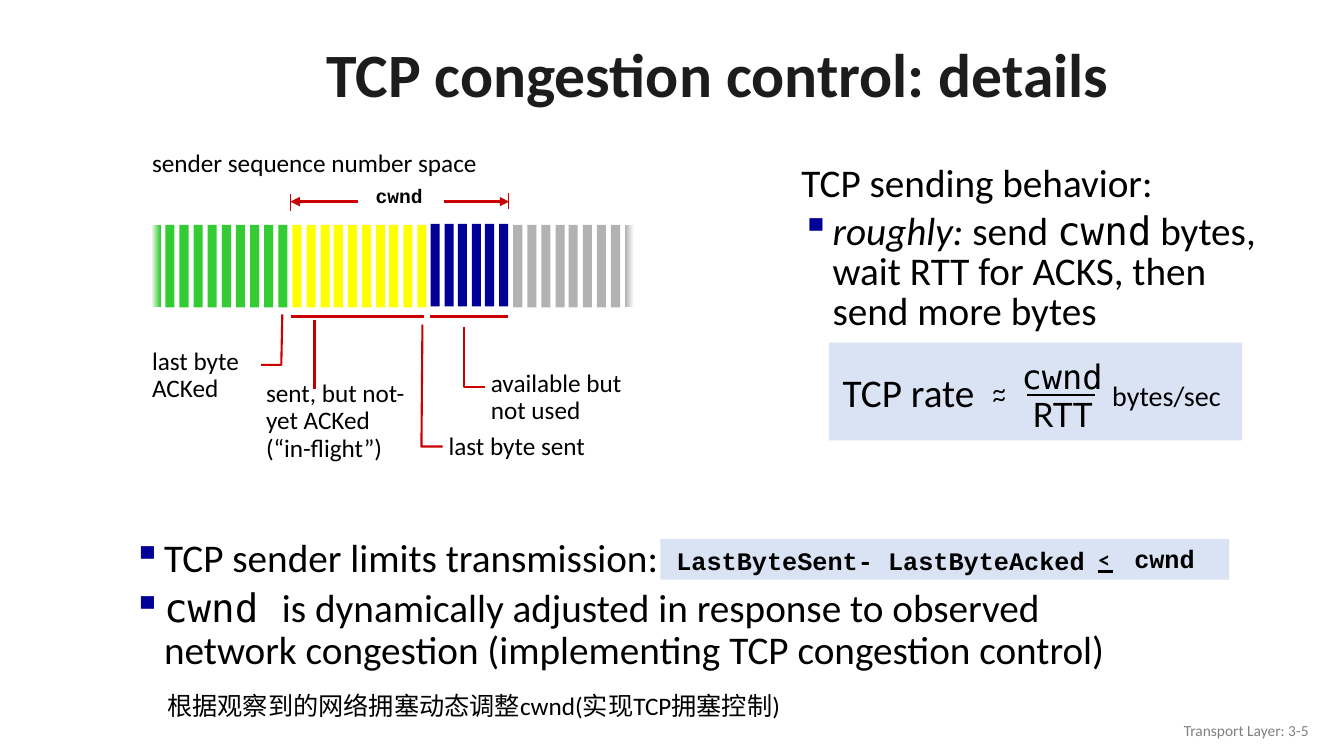
from dataclasses import dataclass
from typing import Any, NamedTuple

from lxml import etree
from pptx import Presentation
from pptx import util as u
from pptx.dml import color
from pptx.enum import shapes, text
from pptx.oxml import ns

PX = 9144  # EMU per px, 100 px to the inch
LEFT, CENTER, RIGHT = text.PP_ALIGN.LEFT, text.PP_ALIGN.CENTER, text.PP_ALIGN.RIGHT
TOP, MIDDLE = text.MSO_ANCHOR.TOP, text.MSO_ANCHOR.MIDDLE


@dataclass(frozen=True)
class Theme:
    black: str = "000000"
    title: str = "1C1C1C"
    footer: str = "808080"
    white: str = "FFFFFF"
    panel: str = "DAE3F3"
    red: str = "CC0000"
    dark_red: str = "C00000"
    green: str = "33CC33"
    yellow: str = "FFFF00"
    navy: str = "000099"
    gray: str = "B2B2B2"
    sans: str = "Calibri"
    code: str = "Courier New"
    mono: str = "DejaVu Sans Mono"
    symbol: str = "Lato"
    heading: int = 44
    body: int = 28
    fraction: int = 24
    unit: int = 20
    note: int = 18
    relation: int = 16
    window: int = 14
    small: int = 11


T = Theme()


class Run(NamedTuple):
    text: str
    font: str = T.sans
    italic: bool = False


class Para(NamedTuple):
    runs: tuple[Run, ...]
    bullet: bool = False


class Box(NamedTuple):
    x: int
    y: int
    w: int
    h: int


@dataclass(frozen=True)
class Label:
    box: Box
    content: str | tuple[Para, ...]  # in a string, each line is a paragraph
    size: int = T.note
    font: str = T.sans
    color: str = T.black
    bold: bool = False
    align: Any = LEFT
    anchor: Any = TOP
    spacing: float = 1.0
    hang: int = 0


class Band(NamedTuple):
    first: int
    last: int
    count: int
    y: int
    color: str
    fade: str = ""


class Line(NamedTuple):
    points: tuple[tuple[int, int], ...]
    width: float
    color: str = T.red
    arrow: bool = False


PANELS = (Box(655, 535, 564, 40), Box(822, 340, 410, 97))

BANDS = (
    Band(150, 276, 10, 223, T.green, "in"),
    Band(290, 414, 10, 223, T.yellow),
    Band(427, 495, 6, 222, T.navy),
    Band(509, 620, 9, 223, T.gray, "out"),
)

LIMITS = (
    Para((Run("TCP sender limits transmission:"),), True),
    Para((Run("cwnd ", T.mono),
          Run("is dynamically adjusted in response to observed network congestion "
              "(implementing TCP congestion control)")), True),
)
BEHAVIOR = (
    Para((Run("TCP sending behavior:"),)),
    Para((Run("roughly:", italic=True), Run(" send "), Run("cwnd", T.mono),
          Run(" bytes, wait RTT for ACKS, then send more bytes")), True),
)

LABELS = (
    Label(Box(89, 28, 1246, 98), "TCP congestion control: details", T.heading,
          color=T.title, bold=True, align=CENTER, anchor=MIDDLE, spacing=0.9),
    Label(Box(122, 529, 1053, 185), LIMITS, T.body, spacing=0.9, hang=31),
    Label(Box(661, 541, 481, 37), "LastByteSent- LastByteAcked", font=T.code,
          bold=True, spacing=0.85, hang=25),
    Label(Box(1076, 537, 38, 37), "<", T.relation, T.symbol, bold=True, align=CENTER),
    Label(Box(1115, 534, 80, 40), "cwnd", font=T.code, bold=True, align=CENTER),
    Label(Box(141, 341, 108, 65), "last byte\nACKed", spacing=0.9),
    Label(Box(435, 425, 175, 37), "last byte sent", spacing=0.9),
    Label(Box(352, 180, 88, 38), "cwnd", T.window, T.code, bold=True,
          align=CENTER, spacing=0.9),
    Label(Box(141, 141, 352, 40), "sender sequence number space"),
    Label(Box(477, 363, 175, 65), "available but not used", spacing=0.9),
    Label(Box(785, 159, 502, 268), BEHAVIOR, T.body, spacing=0.85, hang=31),
    Label(Box(825, 360, 152, 57), "TCP rate", T.body, align=CENTER),
    Label(Box(940, 366, 102, 40), "~", font=T.symbol, align=CENTER),
    Label(Box(940, 374, 102, 40), "~", font=T.symbol, align=CENTER),
    Label(Box(1003, 348, 101, 51), "cwnd", T.fraction, T.mono, align=CENTER),
    Label(Box(1014, 386, 80, 51), "RTT", T.fraction, T.symbol, align=CENTER),
    Label(Box(1092, 371, 130, 44), "bytes/sec", T.unit, align=CENTER),
    Label(Box(254, 373, 182, 92), "sent, but not-yet ACKed\n(“in-flight”)", spacing=0.9),
    Label(Box(1008, 705, 300, 40), "Transport Layer: 3-5", T.small, color=T.footer,
          align=RIGHT, anchor=MIDDLE),
    Label(Box(156, 680, 639, 40), "根据观察到的网络拥塞动态调整cwnd(实现TCP拥塞控制)"),
)

LINES = (
    Line(((1089, 567), (1104, 567)), 1.5, T.black),
    Line(((1019, 392), (1086, 392)), 1.5, T.black),
    Line(((440, 200), (505, 200)), 2.25, arrow=True),
    Line(((355, 200), (288, 200)), 2.25, arrow=True),
    Line(((504, 191), (504, 207)), 0.75),
    Line(((288, 209), (288, 192)), 0.75),
    Line(((427, 314), (504, 314)), 2.25),
    Line(((289, 314), (421, 314)), 2.25),
    Line(((312, 317), (312, 386)), 1.5, T.dark_red),
    Line(((280, 312), (279, 362), (259, 362)), 1.5),
    Line(((419, 322), (418, 443), (439, 443)), 1.5),
    Line(((460, 324), (460, 384), (481, 384)), 1.5),
)


def rgb(value: str) -> color.RGBColor:
    return color.RGBColor.from_string(value)


def apply(target: Any, values: dict[str, Any]) -> None:
    for name, value in values.items():
        setattr(target, name, value)


def draw_rect(tree: Any, box: Box, fill: tuple[str, ...]) -> None:
    """One colour fills solid; two run as a gradient from left to right."""
    s = tree.add_shape(shapes.MSO_SHAPE.RECTANGLE, *(v * PX for v in box))
    s.shadow.inherit = False
    s.line.fill.background()
    if len(fill) == 1:
        s.fill.solid()
        s.fill.fore_color.rgb = rgb(fill[0])
        return
    s.fill.gradient()
    s.fill.gradient_angle = 0
    for stop, value in zip(s.fill.gradient_stops, fill):
        stop.color.rgb = rgb(value)


def draw_band(tree: Any, band: Band) -> None:
    step = (band.last - band.first) / (band.count - 1)
    fades = {"in": (0, (T.white, band.color)),
             "out": (band.count - 1, (band.color, T.white))}
    faded, gradient = fades.get(band.fade, (-1, ()))
    for i in range(band.count):
        box = Box(round(band.first + i * step), band.y, 9, 82)
        draw_rect(tree, box, gradient if i == faded else (band.color,))


def draw_line(tree: Any, line: Line) -> None:
    points = [(x * PX, y * PX) for x, y in line.points]
    if len(points) == 2:
        s = tree.add_connector(shapes.MSO_CONNECTOR.STRAIGHT, *points[0], *points[1])
    else:
        builder = tree.build_freeform(*points[0], scale=1.0)
        builder.add_line_segments(points[1:], close=False)
        s = builder.convert_to_shape()
        s.fill.background()
    s.line.width = u.Pt(line.width)
    s.line.color.rgb = rgb(line.color)
    if line.arrow:
        etree.SubElement(s.line._get_or_add_ln(), ns.qn("a:tailEnd"), type="triangle")
    etree.SubElement(s._element.spPr, ns.qn("a:effectLst"))


def add_bullet(pPr: Any) -> None:
    clr = etree.SubElement(pPr, ns.qn("a:buClr"))
    etree.SubElement(clr, ns.qn("a:srgbClr"), val=T.navy)
    etree.SubElement(pPr, ns.qn("a:buChar"), char="▪")


def draw_label(tree: Any, label: Label) -> None:
    tf = tree.add_textbox(*(v * PX for v in label.box)).text_frame
    apply(tf, {"word_wrap": label.align != CENTER, "vertical_anchor": label.anchor})
    paras = label.content
    if isinstance(paras, str):
        paras = tuple(Para((Run(t, label.font),)) for t in paras.split("\n"))
    for i, para in enumerate(paras):
        p = tf.add_paragraph() if i else tf.paragraphs[0]
        apply(p, {"alignment": label.align, "line_spacing": label.spacing})
        if label.hang:
            p.space_before = u.Pt(0.2 * label.size)
            pPr = p._p.get_or_add_pPr()
            pPr.set("marL", str(label.hang * PX))
            pPr.set("indent", str(-label.hang * PX))
            if para.bullet:
                add_bullet(pPr)
        for run in para.runs:
            r = p.add_run()
            r.text = run.text
            apply(r.font, {"name": run.font, "size": u.Pt(label.size),
                           "bold": label.bold, "italic": run.italic})
            r.font.color.rgb = rgb(label.color)


def main() -> None:
    prs = Presentation()
    apply(prs, {"slide_width": 1333 * PX, "slide_height": 750 * PX})
    tree = prs.slides.add_slide(prs.slide_layouts[6]).shapes
    for panel in PANELS:
        draw_rect(tree, panel, (T.panel,))
    for band in BANDS:
        draw_band(tree, band)
    for label in LABELS:
        draw_label(tree, label)
    for line in LINES:
        draw_line(tree, line)
    prs.save("out.pptx")


if __name__ == "__main__":
    main()
